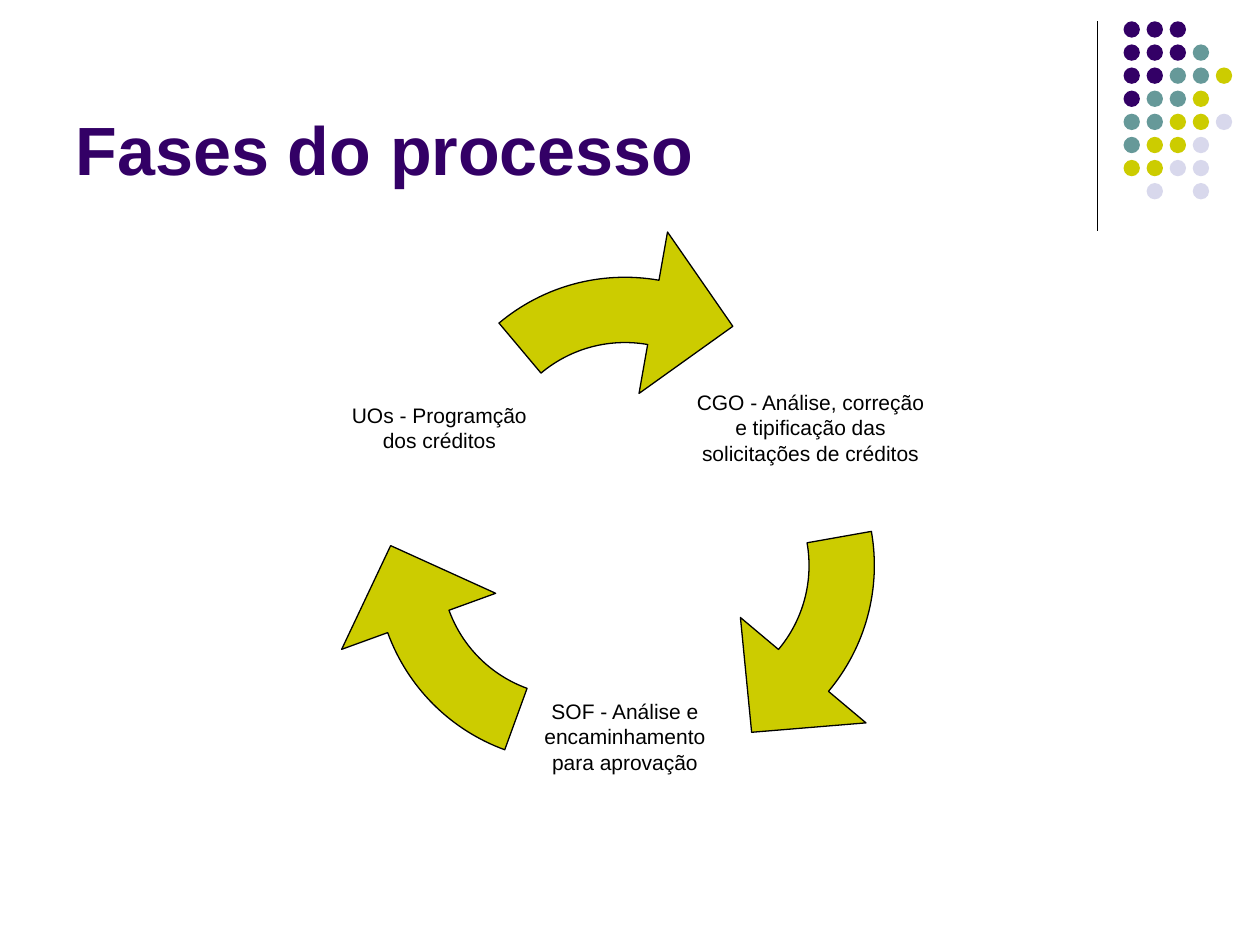
from dataclasses import dataclass
from math import cos, radians, sin, tan

from lxml import etree
from pptx import Presentation
from pptx import util as u
from pptx.dml.color import RGBColor
from pptx.enum import shapes, text
from pptx.oxml import ns


@dataclass(frozen=True)
class Theme:
    font: str = "Arial"
    plum: str = "330066"
    teal: str = "669999"
    lime: str = "CCCC00"
    mist: str = "D8D8EC"
    ink: str = "000000"
    head: float = 39
    body: float = 12
    rule: float = 0.75


THEME = Theme()

# One letter per dot: plum, teal, lime, mist; a full stop marks a gap
DOTS = ("PPP..", "PPPT.", "PPTTL", "PTTL.", "TTLLM", "TLLM.", "LLMM.", ".M.M.")
TONES = {"P": THEME.plum, "T": THEME.teal, "L": THEME.lime, "M": THEME.mist}

# Label lines and the space kept free below them, in cm, clockwise
STEPS = (
    ("CGO - Análise, correção\ve tipificação das\vsolicitações de créditos", 0),
    ("SOF - Análise e\vencaminhamento\npara aprovação", 0.5),
    ("UOs - Programção\ndos créditos", 0),
)


def paint(part, fill, edge=None):
    part.shadow.inherit = False
    part.fill.solid()
    part.fill.fore_color.rgb = RGBColor.from_string(fill)
    if edge:
        part.line.color.rgb = RGBColor.from_string(edge)
        part.line.width = u.Pt(THEME.rule)
    else:
        part.line.fill.background()


def style(para, size, color, align, bold=False):
    para.alignment = align
    font = para.font
    font.name, font.size, font.bold = THEME.font, u.Pt(size), bold
    font.color.rgb = RGBColor.from_string(color)


def polar(x, y, rad, deg):
    return x + rad * cos(radians(deg)), y + rad * sin(radians(deg))


def add_title(slide, left, top, width, height):
    title = slide.shapes.title
    title.left, title.top = u.Cm(left), u.Cm(top)
    title.width, title.height = u.Cm(width), u.Cm(height)
    frame = title.text_frame
    frame.text = "Fases do processo"
    frame.vertical_anchor = text.MSO_ANCHOR.BOTTOM
    frame.auto_size = text.MSO_AUTO_SIZE.NONE
    style(frame.paragraphs[0], THEME.head, THEME.plum, text.PP_ALIGN.LEFT, True)


def add_rule(slide, left, top, height):
    rule = slide.shapes.add_connector(
        shapes.MSO_CONNECTOR.STRAIGHT,
        u.Cm(left), u.Cm(top), u.Cm(left), u.Cm(top + height))
    rule.line.color.rgb = RGBColor.from_string(THEME.ink)
    rule.line.width = u.Pt(THEME.rule)
    etree.SubElement(rule._element.spPr, ns.qn("a:effectLst"))


def add_dots(slide, left, top, width, height, size=0.33):
    across = (width - size) / (len(DOTS[0]) - 1)
    down = (height - size) / (len(DOTS) - 1)
    for row, line in enumerate(DOTS):
        for col, key in enumerate(line):
            if key in TONES:
                dot = slide.shapes.add_shape(
                    shapes.MSO_SHAPE.OVAL,
                    u.Cm(left + col * across), u.Cm(top + row * down),
                    u.Cm(size), u.Cm(size))
                paint(dot, TONES[key])


def bend(rad, start, end):
    """Polar control points and end of one curve along a circle."""
    pull = 4 / 3 * tan(radians(end - start) / 4)
    reach = (rad ** 2 + (rad * pull) ** 2) ** 0.5
    # Each control point lies on the tangent at its end of the arc
    lean = (end - start) * 0.33
    return (reach, start + lean), (reach, end - lean), (rad, end)


def outline(part, size, steps):
    """Replace the preset geometry by curves and lines."""
    geom = etree.Element(ns.qn("a:custGeom"))
    for name in ("avLst", "gdLst", "ahLst", "cxnLst"):
        etree.SubElement(geom, ns.qn(f"a:{name}"))
    etree.SubElement(geom, ns.qn("a:rect"), l="0", t="0", r="r", b="b")
    paths = etree.SubElement(geom, ns.qn("a:pathLst"))
    track = etree.SubElement(paths, ns.qn("a:path"), w=str(size), h=str(size))
    for name, spots in steps:
        step = etree.SubElement(track, ns.qn(f"a:{name}"))
        for rad, deg in spots:
            x, y = polar(size / 2, size / 2, u.Cm(rad), deg)
            etree.SubElement(step, ns.qn("a:pt"), x=str(round(x)), y=str(round(y)))
    etree.SubElement(track, ns.qn("a:close"))
    props = part._element.spPr
    props.replace(props.find(ns.qn("a:prstGeom")), geom)


def add_arrow(slide, x, y, rad, turn, tail=-130, neck=-80):
    """Ring arrow in the square round a circle, turned about its centre."""
    inner = rad * 2 / 3
    size = u.Cm(2 * rad)
    arrow = slide.shapes.add_shape(
        shapes.MSO_SHAPE.RECTANGLE, u.Cm(x - rad), u.Cm(y - rad), size, size)
    outline(arrow, size, (
        ("moveTo", [(inner, neck)]),
        ("cubicBezTo", bend(inner, neck, tail)),
        ("lnTo", [(rad, tail)]),
        ("cubicBezTo", bend(rad, tail, neck)),
        ("lnTo", [(rad * 1.25, neck)]),
        ("lnTo", [(rad * 0.93, -53.7)]),
        ("lnTo", [(inner * 0.62, neck)]),
    ))
    arrow.rotation = turn
    paint(arrow, THEME.lime, THEME.ink)


def add_label(slide, x, y, size, words, below):
    box = slide.shapes.add_shape(
        shapes.MSO_SHAPE.RECTANGLE,
        u.Cm(x - size / 2), u.Cm(y - size / 2), u.Cm(size), u.Cm(size))
    box.shadow.inherit = False
    box.fill.background()
    box.line.fill.background()
    frame = box.text_frame
    frame.word_wrap = False
    frame.vertical_anchor = text.MSO_ANCHOR.MIDDLE
    frame.margin_left = frame.margin_right = frame.margin_top = 0
    frame.margin_bottom = u.Cm(below)
    frame.text = words
    for para in frame.paragraphs:
        style(para, THEME.body, THEME.ink, text.PP_ALIGN.CENTER)


def add_cycle(slide, left, top, side):
    x, y = left + side / 2, top + side / 2
    turns = [360 / len(STEPS) * i for i in range(len(STEPS))]
    for turn in turns:
        add_arrow(slide, *polar(x, y, 1.24, turn - 90), 3.95, turn)
    for turn, (words, below) in zip(turns, STEPS):
        add_label(slide, *polar(x, y, 4.32, turn - 30), 3.17, words, below)


def main():
    deck = Presentation()
    deck.slide_width, deck.slide_height = u.Cm(25.4), u.Cm(19.05)
    slide = deck.slides.add_slide(deck.slide_layouts[5])
    # Corner ornament
    add_rule(slide, 22.12, 0.43, 4.22)
    add_dots(slide, 22.65, 0.43, 2.19, 3.59)
    # Heading and cycle
    add_title(slide, 1.27, 0.33, 20.96, 3.61)
    add_cycle(slide, 6.6, 4.78, 12)
    deck.save("out.pptx")


if __name__ == "__main__":
    main()
